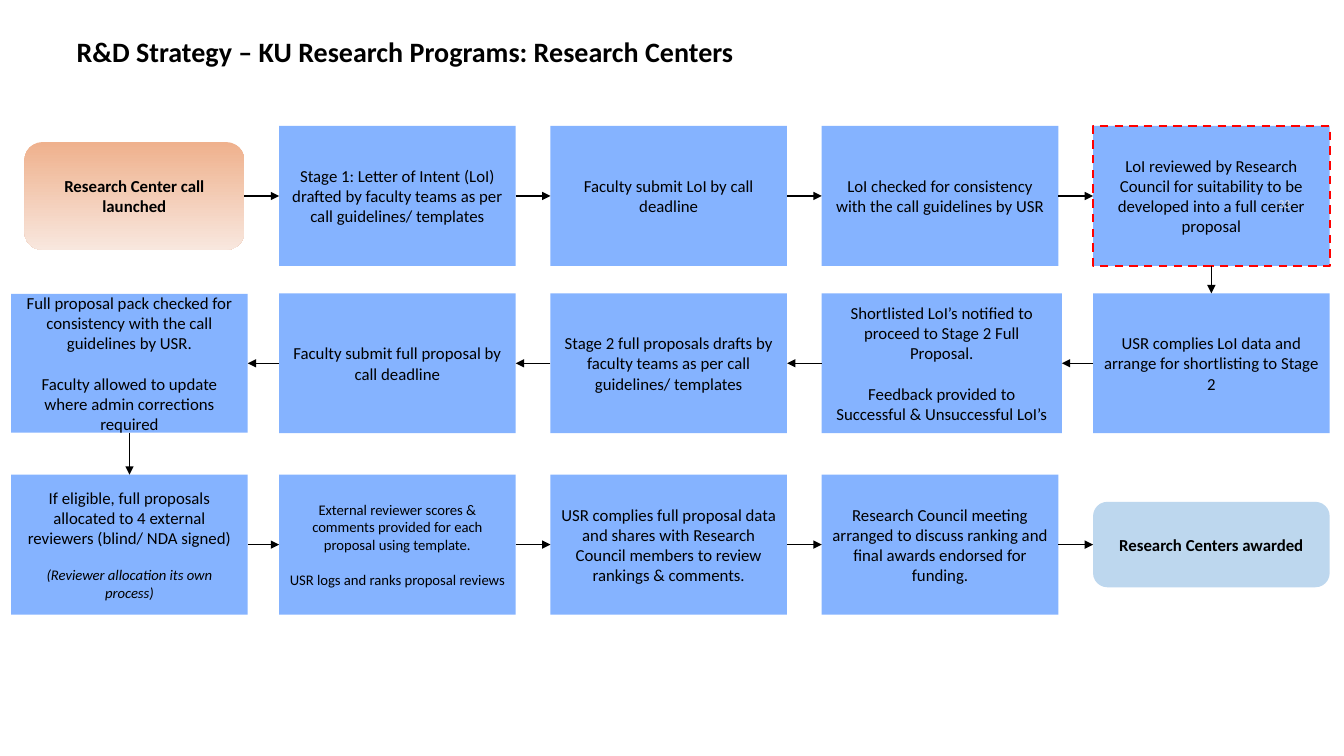
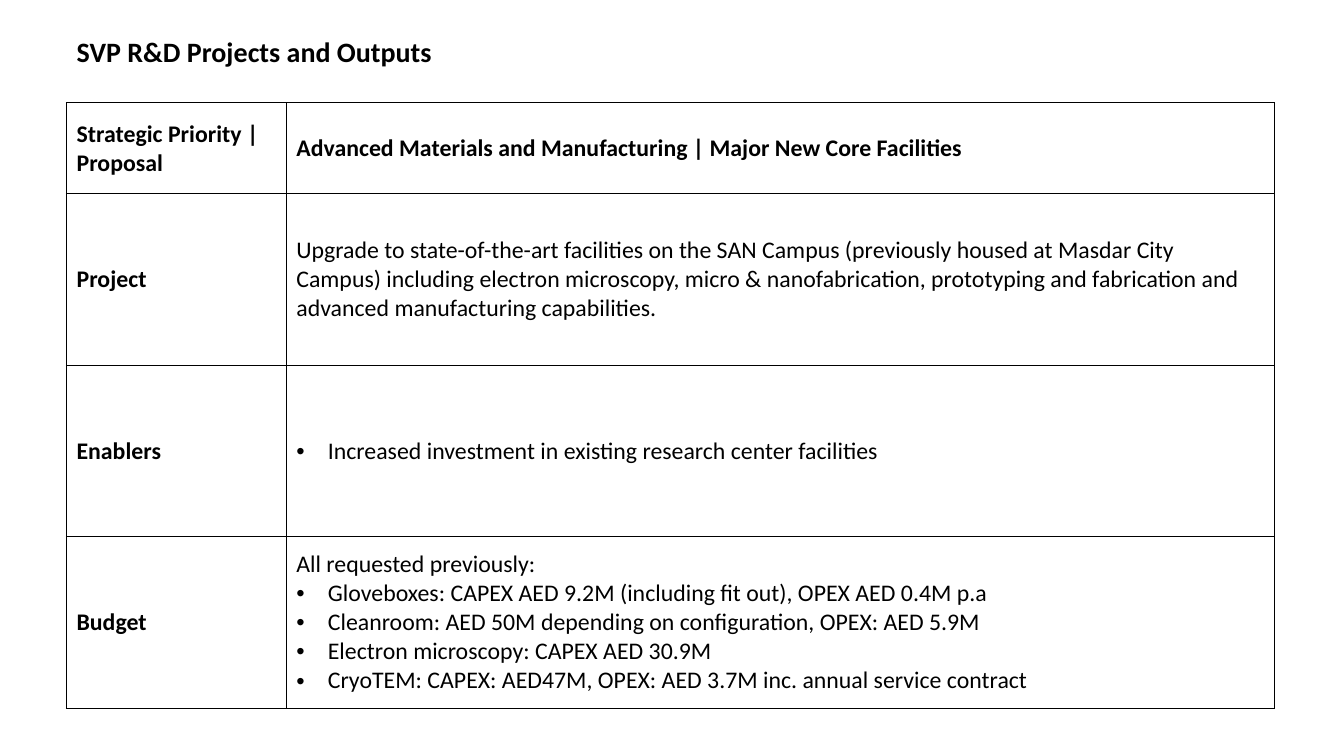
from dataclasses import dataclass
from itertools import pairwise

from lxml.etree import SubElement
from pptx import Presentation
from pptx.dml.color import RGBColor
from pptx.enum.dml import MSO_LINE
from pptx.enum.shapes import MSO_CONNECTOR, MSO_SHAPE as Preset
from pptx.enum.text import MSO_ANCHOR as Anchor, MSO_AUTO_SIZE, PP_ALIGN as Align
from pptx.oxml import parse_xml
from pptx.oxml.ns import nsdecls, qn
from pptx.util import Pt

FONT = "Calibri"
BLACK = RGBColor(0x00, 0x00, 0x00)
STEP_BLUE = RGBColor(0x85, 0xB3, 0xFF)
AWARD_BLUE = RGBColor(0xBD, 0xD7, 0xEE)
LAUNCH_TOP = RGBColor(0xEF, 0xB1, 0x8D)
LAUNCH_BOTTOM = RGBColor(0xF8, 0xE7, 0xDE)
REVIEW_RED = RGBColor(0xFF, 0x00, 0x00)
NUMBER_GREY = RGBColor(0xE7, 0xE6, 0xE6)

CONTENT_LEFT, CONTENT_WIDTH = 47.5, 863
STEP_WIDTH, STEP_HEIGHT = 169, 100
COLUMN_LEFTS = [8] + [199.4 + 193.8 * i for i in range(4)]
ROW_TOPS = [90, 209.5, 339]
TOP, LEFT, BOTTOM, RIGHT = range(4)  # connection sites of a rectangle


@dataclass
class Step:
    row: int
    column: int
    texts: tuple
    note: str = ""
    size: float = 12
    bold: bool = False
    preset: Preset = Preset.RECTANGLE
    fill: RGBColor = STEP_BLUE
    fill_end: RGBColor = None
    outline: RGBColor = None
    shift: float = 0
    width: float = STEP_WIDTH
    height: float = STEP_HEIGHT


STEPS = [
    Step(0, 0, ("Research Center call launched",), bold=True, preset=Preset.ROUNDED_RECTANGLE,
         fill=LAUNCH_TOP, fill_end=LAUNCH_BOTTOM, shift=9.5, width=157, height=77),
    Step(0, 1, ("Stage 1: Letter of Intent (LoI) drafted by faculty teams as per call "
                "guidelines/ templates",)),
    Step(0, 2, ("Faculty submit LoI by call deadline",)),
    Step(0, 3, ("LoI checked for consistency with the call guidelines by USR",)),
    Step(0, 4, ("LoI reviewed by Research Council for suitability to be developed into a "
                "full center proposal",), outline=REVIEW_RED),
    Step(1, 4, ("USR complies LoI data and arrange for shortlisting to Stage 2",)),
    Step(1, 3, ("Shortlisted LoI’s notified to proceed to Stage 2 Full Proposal.",
                "Feedback provided to Successful & Unsuccessful LoI’s"), width=171.5),
    Step(1, 2, ("Stage 2 full proposals drafts by faculty teams as per call "
                "guidelines/ templates",)),
    Step(1, 1, ("Faculty submit full proposal by call deadline",)),
    Step(1, 0, ("Full proposal pack checked for consistency with the call guidelines by USR.",
                "Faculty allowed to update where admin corrections required"), height=99),
    Step(2, 0, ("If eligible, full proposals allocated to 4 external reviewers "
                "(blind/ NDA signed)",), note="(Reviewer allocation its own process)"),
    Step(2, 1, ("External reviewer scores & comments provided for each proposal using template.",
                "USR logs and ranks proposal reviews"), size=10.5),
    Step(2, 2, ("USR complies full proposal data and shares with Research Council members "
                "to review rankings & comments.",)),
    Step(2, 3, ("Research Council meeting arranged to discuss ranking and final awards "
                "endorsed for funding.",)),
    Step(2, 4, ("Research Centers awarded",), bold=True, preset=Preset.ROUNDED_RECTANGLE,
         fill=AWARD_BLUE, height=61),
]

# Each row: label, plain lines, bulleted lines
PROJECT_ROWS = [
    ("Strategic Priority | Proposal",
     ["Advanced Materials and Manufacturing | Major New Core Facilities"], []),
    ("Project",
     ["Upgrade to state-of-the-art facilities on the SAN Campus (previously housed at "
      "Masdar City Campus) including electron microscopy, micro & nanofabrication, "
      "prototyping and fabrication and advanced manufacturing capabilities."], []),
    ("Enablers", [], ["Increased investment in existing research center facilities"]),
    ("Budget", ["All requested previously:"],
     ["Gloveboxes: CAPEX AED 9.2M (including fit out), OPEX AED 0.4M p.a",
      "Cleanroom: AED 50M depending on configuration, OPEX: AED 5.9M",
      "Electron microscopy: CAPEX AED 30.9M",
      "CryoTEM: CAPEX: AED47M, OPEX: AED 3.7M inc. annual service contract"]),
]


def write(frame, text, size=12, color=BLACK, bold=False, italic=False,
          align=Align.LEFT, gap=0, bullet=False):
    """Add one paragraph, filling the frame's first one if it is still empty."""
    first = frame.paragraphs[0]
    para = first if not first.runs else frame.add_paragraph()
    para.alignment = align
    if para is not first:
        para.space_before = Pt(gap)
    if bullet:
        props = para._p.get_or_add_pPr()
        props.set("marL", str(Pt(22.5)))
        props.set("indent", str(-Pt(22.5)))
        SubElement(props, qn("a:buFont"), typeface="Arial")
        SubElement(props, qn("a:buChar"), char="•")
    span = para.add_run()
    span.text = text
    font = span.font
    font.name, font.size, font.bold, font.italic = FONT, Pt(size), bold, italic
    font.color.rgb = color


def add_page(deck, title):
    page = deck.slides.add_slide(deck.slide_layouts.get_by_name("Title Only"))
    box = page.shapes.title
    box.left, box.top, box.width, box.height = map(Pt, (CONTENT_LEFT, 21, CONTENT_WIDTH, 31.5))
    frame = box.text_frame
    frame.auto_size = MSO_AUTO_SIZE.NONE
    frame.vertical_anchor = Anchor.TOP
    write(frame, title, size=20, bold=True)
    return page


def add_step(page, step):
    left = COLUMN_LEFTS[step.column] + step.shift
    top = ROW_TOPS[step.row] + (STEP_HEIGHT - step.height) / 2
    box = page.shapes.add_shape(step.preset, Pt(left), Pt(top), Pt(step.width), Pt(step.height))
    box.shadow.inherit = False
    if step.fill_end:
        box.fill.gradient()
        box.fill.gradient_angle = 270
        for stop, color in zip(box.fill.gradient_stops, (step.fill, step.fill_end)):
            stop.color.rgb = color
    else:
        box.fill.solid()
        box.fill.fore_color.rgb = step.fill
    if step.outline:
        box.line.color.rgb = step.outline
        box.line.width = Pt(1.5)
        box.line.dash_style = MSO_LINE.DASH
    else:
        box.line.fill.background()
    frame = box.text_frame
    frame.word_wrap = True
    frame.vertical_anchor = Anchor.MIDDLE
    for text in step.texts:
        write(frame, text, size=step.size, bold=step.bold, align=Align.CENTER,
              gap=step.size * 1.2)
    if step.note:
        write(frame, step.note, size=10.5, italic=True, align=Align.CENTER, gap=13)
    return box


def add_arrow(page, start, start_site, end, end_site):
    arrow = page.shapes.add_connector(MSO_CONNECTOR.STRAIGHT, 0, 0, 0, 0)
    arrow.begin_connect(start, start_site)
    arrow.end_connect(end, end_site)
    arrow.line.color.rgb = BLACK
    arrow.line.width = Pt(1)
    SubElement(arrow.line._get_or_add_ln(), qn("a:tailEnd"), type="triangle")
    SubElement(arrow._element.spPr, qn("a:effectLst"))


def add_process(page):
    """Place the steps and join each one to the next, row by row."""
    boxes = [add_step(page, step) for step in STEPS]
    for (here, start), (following, end) in pairwise(zip(STEPS, boxes)):
        if here.row != following.row:
            sites = BOTTOM, TOP
        elif here.column < following.column:
            sites = RIGHT, LEFT
        else:
            sites = LEFT, RIGHT
        add_arrow(page, start, sites[0], end, sites[1])


def add_page_number(page, number):
    box = page.shapes.add_textbox(Pt(897), Pt(135.5), Pt(41), Pt(19.5))
    frame = box.text_frame
    frame.word_wrap = True
    frame.vertical_anchor = Anchor.MIDDLE
    frame.margin_left = frame.margin_right = frame.margin_top = frame.margin_bottom = 0
    write(frame, number, size=8.5, color=NUMBER_GREY, align=Align.CENTER)


def set_borders(cell):
    props = cell._tc.get_or_add_tcPr()
    for index, side in enumerate("LRTB"):
        props.insert(index, parse_xml(
            f'<a:ln{side} {nsdecls("a")} w="{Pt(1)}"><a:solidFill>'
            f'<a:srgbClr val="{BLACK}"/></a:solidFill></a:ln{side}>'))


def add_project_table(page, left, top, widths, heights):
    table = page.shapes.add_table(len(heights), len(widths), Pt(left), Pt(top),
                                  Pt(sum(widths)), Pt(sum(heights))).table
    table.first_row = table.horz_banding = False
    for column, width in zip(table.columns, widths):
        column.width = Pt(width)
    for row, height in zip(table.rows, heights):
        row.height = Pt(height)
    for cell in table.iter_cells():
        cell.fill.background()
        cell.vertical_anchor = Anchor.MIDDLE
        set_borders(cell)
    for index, (label, lines, bullets) in enumerate(PROJECT_ROWS):
        write(table.cell(index, 0).text_frame, label, size=17, bold=True)
        frame = table.cell(index, 1).text_frame
        for line in lines:
            write(frame, line, size=17, bold=index == 0)
        for line in bullets:
            write(frame, line, size=17, bullet=True)


def main():
    deck = Presentation()
    deck.slide_width, deck.slide_height = Pt(960), Pt(540)

    page = add_page(deck, "R&D Strategy – KU Research Programs: Research Centers")
    add_process(page)
    add_page_number(page, "33")

    page = add_page(deck, "SVP R&D Projects and Outputs")
    label_width = 157
    add_project_table(page, CONTENT_LEFT, 73.5, [label_width, CONTENT_WIDTH - label_width],
                      [65] + [122.5] * 3)

    deck.save("out.pptx")


if __name__ == "__main__":
    main()
